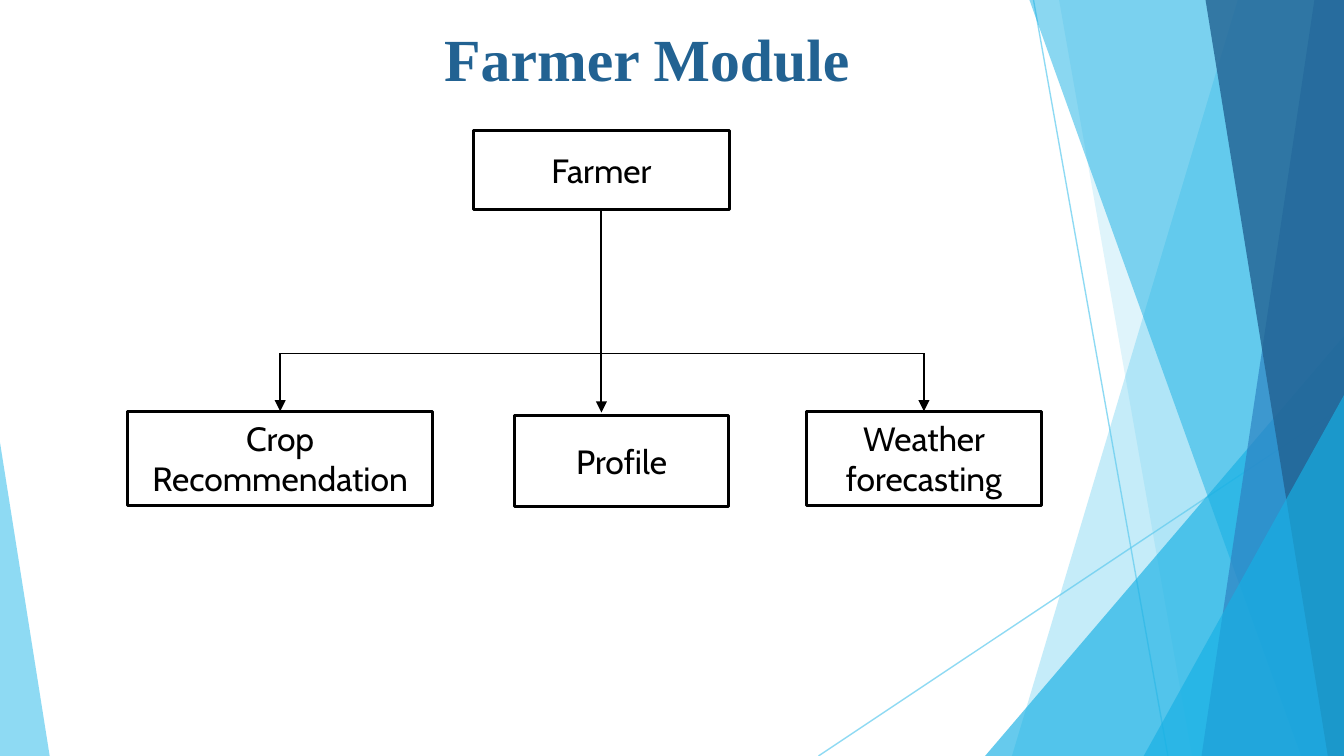
from dataclasses import dataclass

from lxml import etree
from pptx import Presentation
from pptx.dml.color import RGBColor
from pptx.enum.shapes import MSO_CONNECTOR, MSO_SHAPE
from pptx.enum.text import MSO_ANCHOR, PP_ALIGN
from pptx.oxml.ns import qn
from pptx.util import Inches, Pt

RECTANGLE, TRIANGLE = MSO_SHAPE.RECTANGLE, MSO_SHAPE.ISOSCELES_TRIANGLE
STRAIGHT = MSO_CONNECTOR.STRAIGHT
CENTER = PP_ALIGN.CENTER
TOP, MIDDLE = MSO_ANCHOR.TOP, MSO_ANCHOR.MIDDLE
TOP_SIDE, BOTTOM_SIDE = 0, 2
WIDTH = 10
HEIGHT = WIDTH * 9 / 16


@dataclass(frozen=True)
class Theme:
    ink: str = "000000"
    paper: str = "FFFFFF"
    sky: str = "5FCBEF"
    cyan: str = "17B0E4"
    blue: str = "2E83C3"
    navy: str = "226292"
    title_font: str = "Times New Roman"
    body_font: str = "Cabin"
    title_size: float = 32
    body_size: float = 18
    box_line: float = 1.5
    arrow_line: float = 1
    hairline: float = 0.75


THEME = Theme()

TITLE = ("Farmer Module", (0.95, 0.11, 7.73, 0.97))
ROOT = ("Farmer", (3.52, 0.97, 1.91, 0.59))
CHILDREN = [
    ("Crop Recommendation", (0.95, 3.06, 2.27, 0.7)),
    ("Profile", (3.83, 3.09, 1.59, 0.68)),
    ("Weather forecasting", (6, 3.06, 1.75, 0.7)),
]
BUS_Y, ARROW_Y = 2.63, 3.07

RAYS = [((7.69, 0), (8.69, HEIGHT)), ((WIDTH, 3.02), (6.09, HEIGHT))]
BAND, WEDGE = "band", "wedge"
DECORATION = [
    (BAND, (9.21, 7.53), THEME.sky, 36),
    (BAND, (7.88, 8.87), THEME.sky, 20),
    (WEDGE, (7.33, 2.5, 2.67, 1), THEME.cyan, 66),
    (BAND, (7.66, 9.68), THEME.cyan, 50),
    (BAND, (9.78, 8.94), THEME.blue, 70),
    (BAND, (8.97, 9.88), THEME.navy, 80),
    (WEDGE, (8.51, 2.94, 1.49, 1), THEME.cyan, 66),
    (WEDGE, (0, 3.29, 0.37, 0), THEME.sky, 70),
]


def set_alpha(shape, percent):
    color = shape._element.spPr.find(".//" + qn("a:srgbClr"))
    etree.SubElement(color, qn("a:alpha")).set("val", str(percent * 1000))


def paint(shape, color, alpha):
    shape.shadow.inherit = False
    shape.fill.solid()
    shape.fill.fore_color.rgb = RGBColor.from_string(color)
    shape.line.fill.background()
    set_alpha(shape, alpha)


def add_band(page, top_x, bottom_x):
    points = [(WIDTH, 0), (WIDTH, HEIGHT), (bottom_x, HEIGHT)]
    builder = page.shapes.build_freeform(Inches(top_x), 0)
    builder.add_line_segments([(Inches(x), Inches(y)) for x, y in points])
    return builder.convert_to_shape()


def add_wedge(page, left, top, width, apex):
    area = map(Inches, (left, top, width, HEIGHT - top))
    wedge = page.shapes.add_shape(TRIANGLE, *area)
    wedge.adjustments[0] = apex
    return wedge


def add_line(page, start, end, color=THEME.ink, width=THEME.arrow_line, arrow=False):
    line = page.shapes.add_connector(STRAIGHT, *map(Inches, (*start, *end)))
    line.line.color.rgb = RGBColor.from_string(color)
    line.line.width = Pt(width)
    if arrow:
        etree.SubElement(line.line._get_or_add_ln(), qn("a:tailEnd")).set("type", "triangle")
    etree.SubElement(line._element.spPr, qn("a:effectLst"))
    return line


def write(box, text, *, font, size, color, bold=False, anchor=MIDDLE):
    frame = box.text_frame
    frame.word_wrap = True
    frame.vertical_anchor = anchor
    para = frame.paragraphs[0]
    para.alignment = CENTER
    span = para.add_run()
    span.text = text
    span.font.name = font
    span.font.size = Pt(size)
    span.font.bold = bold
    span.font.color.rgb = RGBColor.from_string(color)


def add_node(page, text, area):
    box = page.shapes.add_shape(RECTANGLE, *map(Inches, area))
    box.shadow.inherit = False
    box.fill.solid()
    box.fill.fore_color.rgb = RGBColor.from_string(THEME.paper)
    box.line.color.rgb = RGBColor.from_string(THEME.ink)
    box.line.width = Pt(THEME.box_line)
    write(box, text, font=THEME.body_font, size=THEME.body_size, color=THEME.ink)
    return box


def center_x(area):
    return area[0] + area[2] / 2


def add_background(page):
    for start, end in RAYS:
        set_alpha(add_line(page, start, end, color=THEME.sky, width=THEME.hairline), 70)
    makers = {BAND: add_band, WEDGE: add_wedge}
    for kind, geometry, color, alpha in DECORATION:
        paint(makers[kind](page, *geometry), color, alpha)


def add_tree(page):
    root = add_node(page, *ROOT)
    trunk_x = center_x(ROOT[1])
    trunk = add_line(page, (trunk_x, ROOT[1][1] + ROOT[1][3]), (trunk_x, BUS_Y))
    trunk.begin_connect(root, BOTTOM_SIDE)

    middle = len(CHILDREN) // 2
    branches = [center_x(area) for _, area in CHILDREN]
    branches[middle] = trunk_x
    add_line(page, (branches[0], BUS_Y), (branches[-1], BUS_Y))
    for index, ((text, area), x) in enumerate(zip(CHILDREN, branches)):
        child = add_node(page, text, area)
        arrow = add_line(page, (x, BUS_Y), (x, ARROW_Y), arrow=True)
        if index != middle:
            arrow.end_connect(child, TOP_SIDE)


def main():
    deck = Presentation()
    deck.slide_width, deck.slide_height = Inches(WIDTH), Inches(HEIGHT)
    page = deck.slides.add_slide(deck.slide_layouts[6])
    add_background(page)
    text, area = TITLE
    title = page.shapes.add_textbox(*map(Inches, area))
    write(title, text, font=THEME.title_font, size=THEME.title_size,
          color=THEME.navy, bold=True, anchor=TOP)
    add_tree(page)
    deck.save("out.pptx")


if __name__ == "__main__":
    main()
